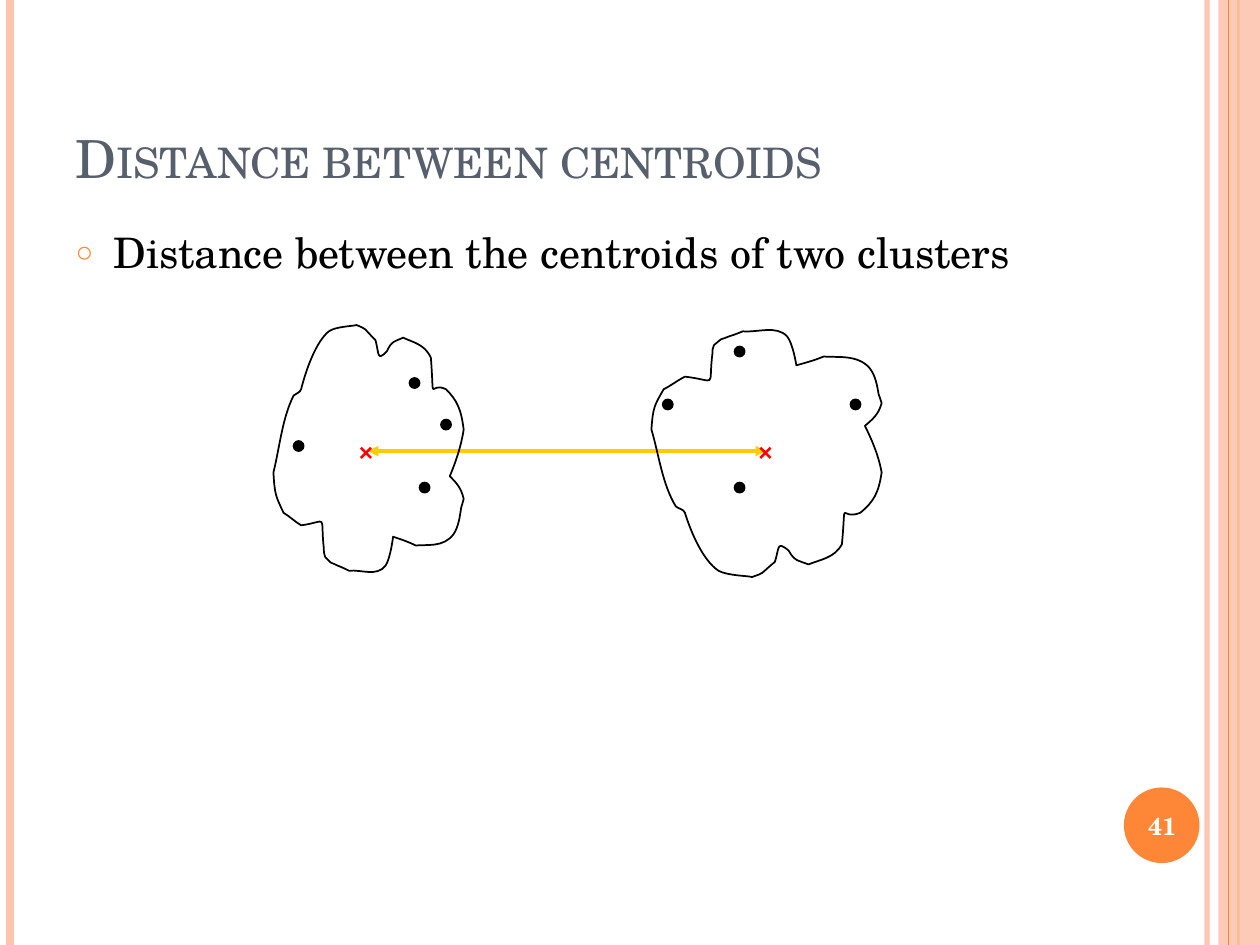
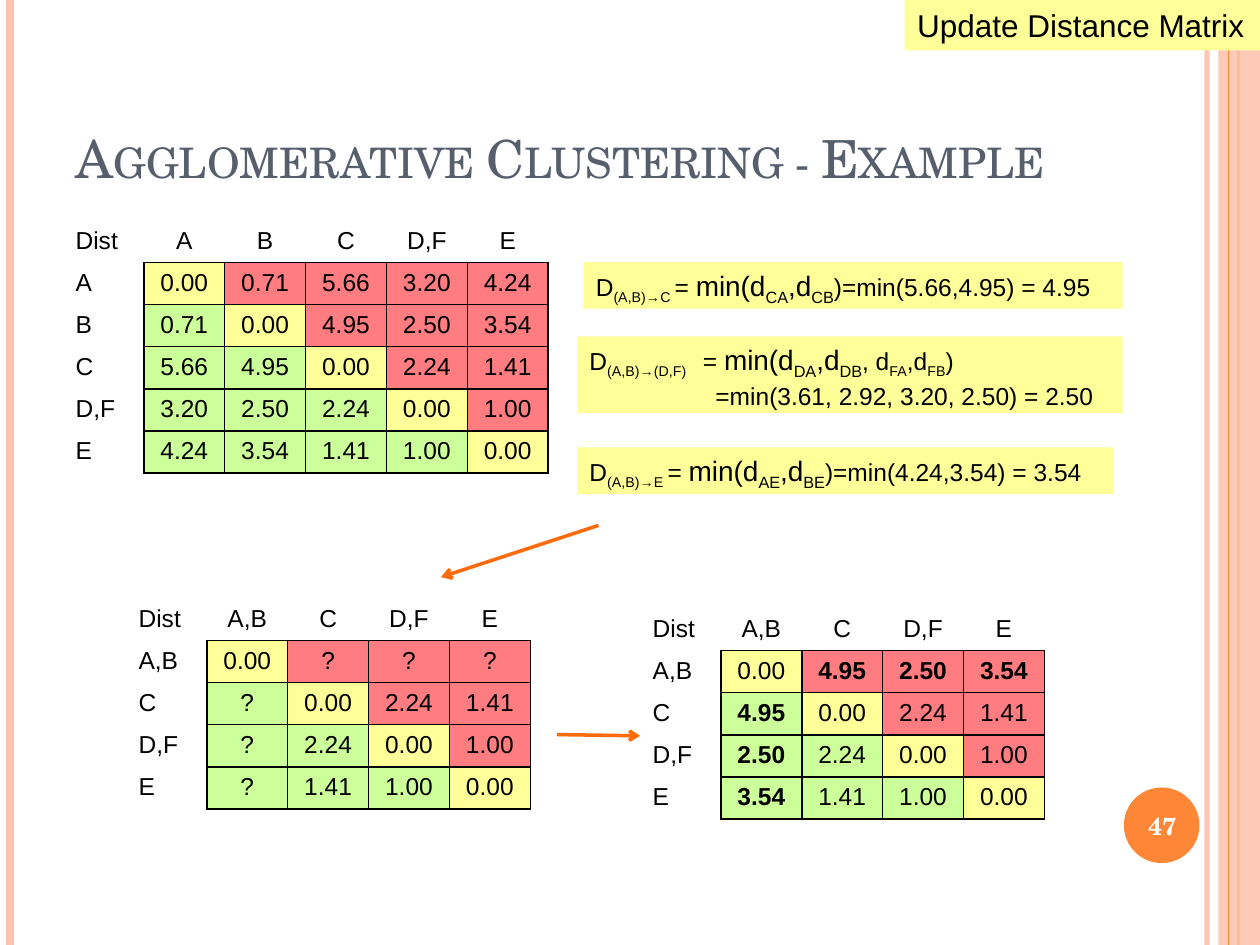
from lxml.etree import SubElement
from pptx import Presentation
from pptx.dml.color import RGBColor
from pptx.enum.shapes import MSO_CONNECTOR, MSO_SHAPE
from pptx.enum.text import MSO_ANCHOR, MSO_AUTO_SIZE, PP_ALIGN
from pptx.oxml.ns import qn
from pptx.util import Inches, Pt

COLORS = {
    "band": "FEC3AE", "accent": "FE8637", "title": "575F6D", "ink": "000000",
    "white": "FFFFFF", "cross": "FF0000", "link": "FFCC00", "step": "FF6B0A",
    "yellow": "FFFF99", "red": "FF7C80", "green": "CCFF99",
}
SERIF, SANS = "TeX Gyre Schola", "Arial"

# Shared frame: x, colour, width in points, opacity in percent
RULES = [(9.58, "band", 3, 93), (0.08, "band", 4.5, 100),
         (9.83, "accent", 1.5, 100), (9.75, "accent", 0.75, 100)]

# Centroid slide
CENTROID_TITLE = "Distance between centroids"
CENTROID_POINT = "Distance between the centroids of two clusters"
# Each curve: two control points, then the end point
OUTLINE_START = (2.33, 3.14)
LEFT_CURVES = [
    (2.24, 3.32), (2.22, 3.55), (2.17, 3.75),
    (2.18, 3.93), (2.19, 3.94), (2.25, 4.07),
    (2.3, 4.1), (2.34, 4.14), (2.39, 4.17),
    (2.61, 4.14), (2.54, 4.07), (2.57, 4.35),
    (2.57, 4.37), (2.57, 4.4), (2.58, 4.42),
    (2.65, 4.49), (2.6, 4.45), (2.68, 4.49),
    (2.71, 4.5), (2.77, 4.53), (2.77, 4.53),
    (2.87, 4.52), (2.99, 4.58), (3.06, 4.49),
    (3.1, 4.43), (3.12, 4.26), (3.12, 4.26),
    (3.18, 4.28), (3.24, 4.3), (3.3, 4.33),
    (3.38, 4.32), (3.52, 4.35), (3.6, 4.24),
    (3.64, 4.18), (3.65, 4.1), (3.66, 4.03),
    (3.67, 4), (3.68, 3.96), (3.68, 3.96),
    (3.66, 3.87), (3.62, 3.83), (3.57, 3.78),
    (3.62, 3.66), (3.66, 3.54), (3.68, 3.41),
    (3.66, 3.25), (3.63, 3.18), (3.54, 3.09),
    (3.4, 3.02), (3.45, 3.24), (3.42, 2.84),
    (3.37, 2.73), (3.28, 2.72), (3.2, 2.68),
    (3.14, 2.71), (3.11, 2.7), (3.07, 2.79),
    (2.99, 2.87), (3.01, 2.81), (2.98, 2.7),
    (2.87, 2.59), (2.92, 2.62), (2.83, 2.58),
    (2.8, 2.59), (2.67, 2.59), (2.61, 2.63),
    (2.51, 2.71), (2.43, 2.93), (2.39, 3.09),
    (2.38, 3.12), (2.35, 3.12), (2.33, 3.14),
]
LEFT_OUTLINE = [OUTLINE_START, *LEFT_CURVES]
# The right cluster is the left one turned upside down and widened
RIGHT_OUTLINE = [(5.17 + (x - 2.17) * 1.21, 7.16 - y) for x, y in LEFT_OUTLINE]
DOTS = [(3.33, 3.83), (3.25, 3), (2.33, 3.5), (3.5, 3.33),
        (6.75, 3.17), (5.26, 3.17), (5.83, 3.83), (5.83, 2.75)]
CROSSES = [(2.75, 3.42), (5.92, 3.42)]

# Example slide: distances are the upper triangle of each symmetric matrix
EXAMPLE_TITLE = "Agglomerative Clustering - Example"
EXAMPLE_TAG = "Update Distance Matrix"
MATRICES = [
    {"at": (0.5, 1.75), "names": ["A", "B", "C", "D,F", "E"], "bold_first": False,
     "upper": [["0.71", "5.66", "3.20", "4.24"], ["4.95", "2.50", "3.54"],
               ["2.24", "1.41"], ["1.00"]]},
    {"at": (1, 4.75), "names": ["A,B", "C", "D,F", "E"], "bold_first": False,
     "upper": [["?", "?", "?"], ["2.24", "1.41"], ["1.00"]]},
    {"at": (5.08, 4.83), "names": ["A,B", "C", "D,F", "E"], "bold_first": True,
     "upper": [["4.95", "2.50", "3.54"], ["2.24", "1.41"], ["1.00"]]},
]
# Formula spans: text, size, subscript
FORMULAS = [
    ((4.63, 2.08, 4.28, 0.37), [[
        ("D", 14, False), ("(A,B)→C ", 14, True), ("= ", 14, False),
        ("min(d", 16, False), ("CA", 16, True), (",d", 16, False),
        ("CB", 16, True), (")=min(5.66,4.95) = 4.95", 14, False)]]),
    ((4.58, 2.67, 4.33, 0.61), [[
        ("D", 14, False), ("(A,B)→(D,F)\t", 14, True), ("= ", 14, False),
        ("min(d", 16, False), ("DA", 16, True), (",d", 16, False),
        ("DB", 16, True), (", d", 14, False), ("FA", 14, True),
        (",d", 14, False), ("FB", 14, True), (")", 14, False)],
        [("\t=min(3.61, 2.92, 3.20, 2.50) = 2.50", 14, False)]]),
    ((4.58, 3.55, 4.26, 0.37), [[
        ("D", 14, False), ("(A,B)→E ", 14, True), ("= ", 14, False),
        ("min(d", 16, False), ("AE", 16, True), (",d", 16, False),
        ("BE", 16, True), (")=min(4.24,3.54) = 3.54", 14, False)]]),
]
NOTE_TABS = [0.9, 1]  # where "=" starts on each line of a two-line note
STEP_ARROWS = [((4.75, 4.17), (3.5, 4.58)), ((4.42, 5.83), (5.08, 5.84))]


def rgb(name):
    return RGBColor.from_string(COLORS[name])


def style(para, size, font, color, bold=False):
    for span in para.runs:
        span.font.size, span.font.name, span.font.bold = Pt(size), font, bold
        span.font.color.rgb = rgb(color)


def set_opacity(fill_parent, percent):
    for color in fill_parent.iter(qn("a:srgbClr")):
        SubElement(color, qn("a:alpha"), val=str(percent * 1000))


def add_line(page, start, end, color, width, head=None, tail=None):
    line = page.shapes.add_connector(
        MSO_CONNECTOR.STRAIGHT, *(Inches(v) for v in (*start, *end)))
    line.line.color.rgb, line.line.width = rgb(color), Pt(width)
    outline = line.line._get_or_add_ln()
    for tag, kind in (("a:headEnd", head), ("a:tailEnd", tail)):
        if kind:
            SubElement(outline, qn(tag), type=kind)
    SubElement(line._element.spPr, qn("a:effectLst"))
    return line


def add_filled(page, kind, at, color):
    shape = page.shapes.add_shape(kind, *(Inches(v) for v in at))
    shape.shadow.inherit = False
    shape.fill.solid()
    shape.fill.fore_color.rgb = rgb(color)
    shape.line.fill.background()
    return shape


def add_label(page, at, text, size, font, color):
    frame = page.shapes.add_textbox(*(Inches(v) for v in at)).text_frame
    frame.word_wrap = True
    frame.text = text
    style(frame.paragraphs[0], size, font, color, True)
    return frame


def place(holder, at):
    holder.left, holder.top, holder.width, holder.height = (Inches(v) for v in at)
    holder.text_frame.auto_size = MSO_AUTO_SIZE.NONE


def add_page(deck, layout, title, number):
    page = deck.slides.add_slide(deck.slide_layouts[layout])
    # Side bands
    for x, color, width, opacity in RULES:
        if x == 9.75:
            band = add_filled(page, MSO_SHAPE.RECTANGLE, (9.67, 0, 0.33, 7.5), "band")
            set_opacity(band._element.spPr, 87)
        rule = add_line(page, (x, 0), (x, 7.5), color, width)
        if opacity < 100:
            set_opacity(rule._element.spPr, opacity)
    # Page number
    add_filled(page, MSO_SHAPE.OVAL, (8.92, 6.25, 0.6, 0.6), "accent")
    badge = add_label(page, (8.89, 6.27, 0.67, 0.57), number, 14, SERIF, "white")
    badge.vertical_anchor = MSO_ANCHOR.MIDDLE
    badge.paragraphs[0].alignment = PP_ALIGN.CENTER
    # Title
    place(page.shapes.title, (0.5, 0.3, 8.17, 1.25))
    frame = page.shapes.title.text_frame
    frame.text, frame.vertical_anchor = title, MSO_ANCHOR.BOTTOM
    para = frame.paragraphs[0]
    para.alignment = PP_ALIGN.LEFT
    style(para, 30, SERIF, "title")
    para.runs[0].font._element.set("cap", "small")
    return page


def add_outline(page, points):
    first, *rest = [(x * 1000, y * 1000) for x, y in points]
    builder = page.shapes.build_freeform(*first, scale=Inches(1) / 1000)
    builder.add_line_segments(rest, close=True)
    outline = builder.convert_to_shape()
    outline.shadow.inherit = False
    outline.fill.background()
    outline.line.color.rgb, outline.line.width = rgb("ink"), Pt(1)
    # Join every three points into one Bezier curve
    segments = list(outline._element.iter(qn("a:lnTo")))
    for index, segment in enumerate(segments):
        if index % 3 == 0:
            curve = segment
            curve.tag = qn("a:cubicBezTo")
        else:
            curve.append(segment[0])
            segment.getparent().remove(segment)


def build_centroids(deck):
    page = add_page(deck, 1, CENTROID_TITLE, "41")
    body = page.placeholders[1]
    place(body, (0.5, 1.75, 8.17, 0.67))
    body.text_frame.text = CENTROID_POINT
    para = body.text_frame.paragraphs[0]
    para.space_before = Pt(6)
    style(para, 24, SERIF, "ink")
    props = para._p.get_or_add_pPr()
    props.set("marL", str(Inches(0.3)))
    props.set("indent", str(Inches(-0.3)))
    SubElement(SubElement(props, qn("a:buClr")), qn("a:srgbClr"), val=COLORS["accent"])
    SubElement(props, qn("a:buSzPct"), val="70000")
    SubElement(props, qn("a:buChar"), char="○")
    # Clusters and the distance between them
    add_line(page, (2.92, 3.58), (6.08, 3.58), "link", 2, "triangle", "triangle")
    add_outline(page, LEFT_OUTLINE)
    add_outline(page, RIGHT_OUTLINE)
    for x, y in DOTS:
        dot = add_filled(page, MSO_SHAPE.OVAL, (x, y, 0.08, 0.08), "ink")
        dot.line.color.rgb, dot.line.width = rgb("ink"), Pt(1)
    for x, y in CROSSES:
        add_label(page, (x, y, 0.25, 0.33), "×", 14, SANS, "cross")


def set_borders(cell, row, column):
    visible = {"a:lnL": row and column, "a:lnR": row,
               "a:lnT": row and column, "a:lnB": column}
    props = cell._tc.get_or_add_tcPr()
    for tag, shown in visible.items():
        border = SubElement(props, qn(tag), w=str(Pt(1)))
        if shown:
            SubElement(SubElement(border, qn("a:solidFill")), qn("a:srgbClr"),
                       val=COLORS["ink"])
        else:
            SubElement(border, qn("a:noFill"))


def add_matrix(page, at, names, upper, bold_first):
    count = len(names) + 1
    side, height = Inches(3.21 / 5), Inches(2 / 6)
    table = page.shapes.add_table(count, count, Inches(at[0]), Inches(at[1]),
                                  side * count, height * count).table
    table.first_row = table.horz_banding = False
    labels = ["Dist", *names]
    for row in range(count):
        for column in range(count):
            cell = table.cell(row, column)
            set_borders(cell, row, column)
            low, high = sorted((row, column))
            if low == 0:
                cell.text = labels[high]
                cell.fill.background()
            else:
                cell.text = "0.00" if low == high else upper[low - 1][high - low - 1]
                cell.fill.solid()
                cell.fill.fore_color.rgb = rgb(
                    "yellow" if low == high else "red" if column > row else "green")
            para = cell.text_frame.paragraphs[0]
            para.alignment = PP_ALIGN.CENTER if column else PP_ALIGN.LEFT
            style(para, 14, SANS, "ink", bold_first and low == 1 and high > 1)


def add_note(page, at, lines):
    note = add_filled(page, MSO_SHAPE.RECTANGLE, at, "yellow")
    frame = note.text_frame
    frame.word_wrap, frame.vertical_anchor = True, MSO_ANCHOR.TOP
    for index, spans in enumerate(lines):
        para = frame.add_paragraph() if index else frame.paragraphs[0]
        para.alignment = PP_ALIGN.LEFT
        if len(lines) > 1:
            tabs = SubElement(para._p.get_or_add_pPr(), qn("a:tabLst"))
            SubElement(tabs, qn("a:tab"), pos=str(Inches(NOTE_TABS[index])), algn="l")
        for text, size, subscript in spans:
            span = para.add_run()
            span.text = text
            span.font.size, span.font.name = Pt(size), SANS
            span.font.color.rgb = rgb("ink")
            if subscript:
                span.font._element.set("baseline", "-25000")


def build_example(deck):
    page = add_page(deck, 5, EXAMPLE_TITLE, "47")
    add_note(page, (7.18, 0, 2.82, 0.4), [[(EXAMPLE_TAG, 18, False)]])
    for matrix in MATRICES:
        add_matrix(page, **matrix)
    for at, lines in FORMULAS:
        add_note(page, at, lines)
    for start, end in STEP_ARROWS:
        add_line(page, start, end, "step", 2, tail="arrow")


def main():
    deck = Presentation()
    deck.slide_width, deck.slide_height = Inches(10), Inches(7.5)
    build_centroids(deck)
    build_example(deck)
    deck.save("out.pptx")


if __name__ == "__main__":
    main()
